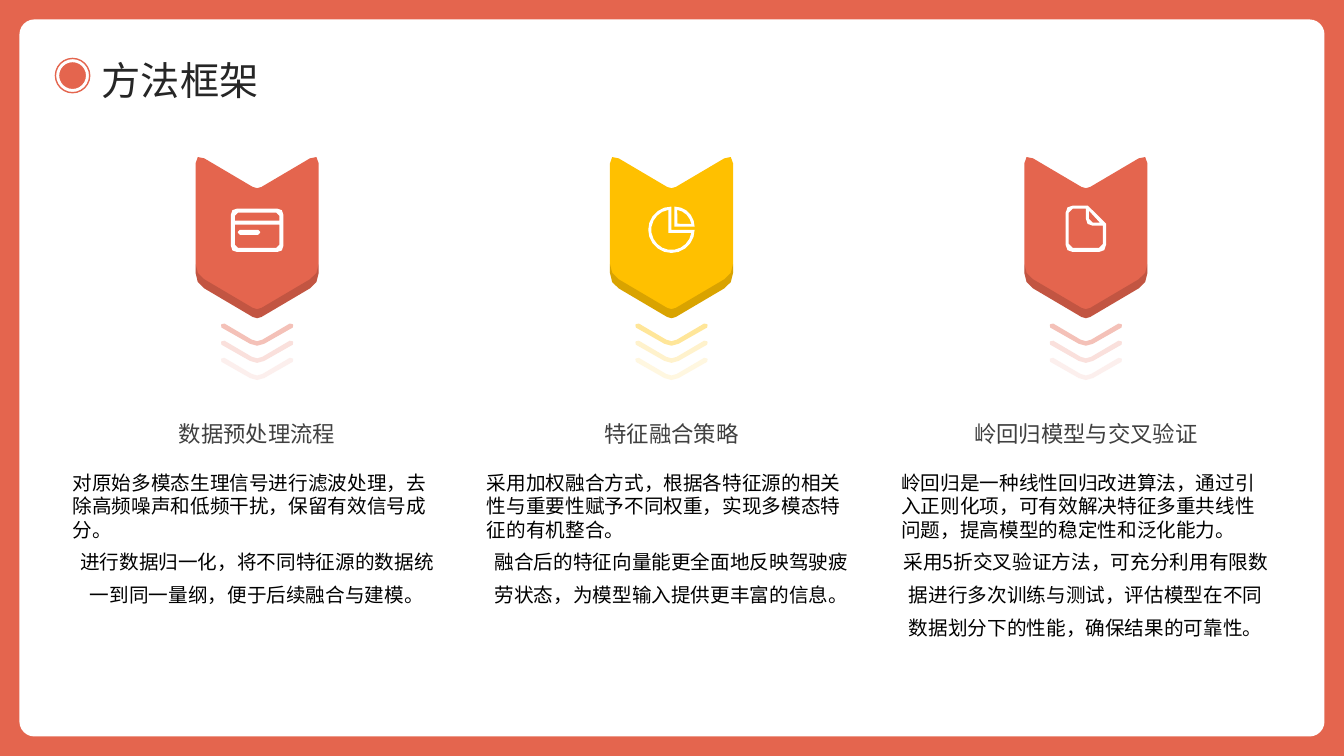
from math import cos, hypot, radians, sin

from lxml import etree
from pptx import Presentation
from pptx.dml.color import RGBColor
from pptx.enum.shapes import MSO_SHAPE
from pptx.enum.text import MSO_ANCHOR, PP_ALIGN
from pptx.oxml.ns import qn
from pptx.util import Inches, Pt

LEFT, CENTER = PP_ALIGN.LEFT, PP_ALIGN.CENTER
TOP, MIDDLE = MSO_ANCHOR.TOP, MSO_ANCHOR.MIDDLE
RECT, ROUNDED, OVAL = MSO_SHAPE.RECTANGLE, MSO_SHAPE.ROUNDED_RECTANGLE, MSO_SHAPE.OVAL

THEME = {
    "font": "Noto Sans CJK SC",
    "coral": "E4654E", "gold": "FFC000", "white": "FFFFFF", "shade": "000000",
    "title": "262626", "heading": "404040", "body": "000000",
    "coral_fade": [("F4C1B8", 100), ("FAE0DC", 100), ("FAE0DC", 50)],
    "gold_fade": [("FFE699", 100), ("FFF2CC", 100), ("FFF2CC", 60)],
    "title_pt": 28, "heading_pt": 16, "body_pt": 14,
}

# Grid: three equal columns
WIDTH, HEIGHT, MARGIN = 13.33, 7.5, 0.2
COL_LEFT, COL_WIDTH, COL_STEP = 0.72, 3.66, 4.11
HEADING_TOP, BODY_TOP = 3.87, 4.67
CHEVRON_STEP = 0.17
ARC_STEP = 18

prs = Presentation()
prs.slide_width, prs.slide_height = Inches(WIDTH), Inches(HEIGHT)
s = prs.slides.add_slide(prs.slide_layouts[6])


def add_outline(contours, dx, dy, color, opacity=100):
    """Fill closed contours of (x, y, rounding) corners, moved by dx, dy."""
    fb = None
    for corners in contours:
        pts = []
        for i, (x, y, cut) in enumerate(corners):
            ends = []
            for nx, ny, _ in (corners[i - 1], corners[(i + 1) % len(corners)]):
                share = cut / hypot(nx - x, ny - y)
                ends.append((x + (nx - x) * share, y + (ny - y) * share))
            (ax, ay), (bx, by) = ends
            for t in (0, 0.5, 1) if cut >= 0.05 else (0, 1) if cut else (0,):
                u = 1 - t
                pts.append((1000 * (dx + u * u * ax + 2 * u * t * x + t * t * bx),
                            1000 * (dy + u * u * ay + 2 * u * t * y + t * t * by)))
        if fb is None:
            fb = s.shapes.build_freeform(*pts[0], scale=914.4)
        else:
            fb.move_to(*pts[0])
        fb.add_line_segments(pts[1:], close=True)
    sp = fb.convert_to_shape()
    sp.shadow.inherit = False
    sp.fill.solid()
    sp.fill.fore_color.rgb = RGBColor.from_string(color)
    sp.line.fill.background()
    if opacity < 100:
        clr = sp.element.spPr.find(qn("a:solidFill")).find(qn("a:srgbClr"))
        etree.SubElement(clr, qn("a:alpha"), val=str(opacity * 1000))


def add_text(box, anchor, role, paragraphs):
    """Add a text box of (text, alignment, line spacing) paragraphs."""
    tf = s.shapes.add_textbox(*map(Inches, box)).text_frame
    tf.word_wrap = True
    tf.vertical_anchor = anchor
    tf.margin_left = tf.margin_top = tf.margin_right = tf.margin_bottom = 0
    for i, (text, align, spacing) in enumerate(paragraphs):
        p = tf.add_paragraph() if i else tf.paragraphs[0]
        p.alignment, p.line_spacing = align, spacing
        r = p.add_run()
        r.text = text
        r.font.size = Pt(THEME[role + "_pt"])
        r.font.color.rgb = RGBColor.from_string(THEME[role])
        r.font.name = THEME["font"]
        etree.SubElement(r.font._element, qn("a:ea"), typeface=THEME["font"])


# Frame, white panel and title bullet
for kind, box, fill, line in [
    (RECT, (0, 0, WIDTH, HEIGHT), "coral", None),
    (ROUNDED, (MARGIN, MARGIN, WIDTH - 2 * MARGIN, HEIGHT - 2 * MARGIN), "white", "white"),
    (OVAL, (0.55, 0.58, 0.34, 0.34), "white", "coral"),
    (OVAL, (0.58, 0.61, 0.28, 0.28), "coral", "white"),
]:
    sp = s.shapes.add_shape(kind, *map(Inches, box))
    sp.shadow.inherit = False
    sp.fill.solid()
    sp.fill.fore_color.rgb = RGBColor.from_string(THEME[fill])
    if line:
        sp.line.color.rgb = RGBColor.from_string(THEME[line])
        sp.line.width = Pt(1)
    else:
        sp.line.fill.background()
    if kind == ROUNDED:
        sp.adjustments[0] = 0.02

add_text((1.01, 0.51, 11.88, 0.51), MIDDLE, "title", [("方法框架", LEFT, 1.1)])

# Outlines, measured from the column's centre line
ribbon = [[(-0.61, 1.52, 0.1), (0, 1.88, 0.05), (0.61, 1.52, 0.1),
           (0.61, 2.81, 0.1), (0, 3.17, 0.05), (-0.61, 2.81, 0.1)]]
ribbon_edge = [[(-0.61, 2.62, 0), (-0.61, 2.72, 0.1), (0, 3.08, 0.05), (0.61, 2.72, 0.1),
                (0.61, 2.62, 0), (0.61, 2.81, 0.1), (0, 3.17, 0.05), (-0.61, 2.81, 0.1)]]
chevron = [[(-0.34, 3.2, 0.02), (0, 3.4, 0.06), (0.34, 3.2, 0.02),
            (0.37, 3.24, 0.02), (0, 3.45, 0.08), (-0.37, 3.24, 0.02)]]

# Card icon: left, top, right, bottom, upper and lower rounding
card = [
    [(x1, y1, up), (x2, y1, up), (x2, y2, low), (x1, y2, low)]
    for x1, y1, x2, y2, up, low in [
        (-0.26, 2.07, 0.26, 2.5, 0.06, 0.06),
        (-0.22, 2.11, 0.22, 2.19, 0.03, 0),
        (-0.22, 2.23, 0.22, 2.46, 0, 0.03),
        (-0.19, 2.28, 0.03, 2.33, 0.02, 0.02),
    ]
]
# Pie icon: corner, then centre, radius and angles of the arc
pie = [
    [(vx, vy, 0)] + [
        (cx + radius * cos(radians(angle)), cy + radius * sin(radians(angle)), 0)
        for angle in range(start, end + 1, ARC_STEP)
    ]
    for vx, vy, cx, cy, radius, start, end in [
        (0, 2.28, 0, 2.28, 0.23, 0, 270),
        (-0.03, 2.31, 0, 2.28, 0.2, 9, 261),
        (0.03, 2.25, 0.03, 2.25, 0.2, -90, 0),
        (0.06, 2.22, 0.03, 2.25, 0.17, -81, -9),
    ]
]
# Page icon: sheet, inside and folded corner
page = [
    [(-0.2, 2.04, 0.07), (0.02, 2.04, 0), (0.2, 2.22, 0), (0.2, 2.5, 0.07), (-0.2, 2.5, 0.07)],
    [(-0.17, 2.07, 0.04), (0, 2.07, 0), (0, 2.24, 0.07), (0.17, 2.24, 0),
     (0.17, 2.46, 0.04), (-0.17, 2.46, 0.04)],
    [(0.03, 2.09, 0), (0.14, 2.21, 0), (0.03, 2.21, 0.04)],
]

# Columns
columns = [
    ("coral", card, "数据预处理流程",
     "对原始多模态生理信号进行滤波处理，去除高频噪声和低频干扰，保留有效信号成分。",
     "进行数据归一化，将不同特征源的数据统一到同一量纲，便于后续融合与建模。"),
    ("gold", pie, "特征融合策略",
     "采用加权融合方式，根据各特征源的相关性与重要性赋予不同权重，实现多模态特征的有机整合。",
     "融合后的特征向量能更全面地反映驾驶疲劳状态，为模型输入提供更丰富的信息。"),
    ("coral", page, "岭回归模型与交叉验证",
     "岭回归是一种线性回归改进算法，通过引入正则化项，可有效解决特征多重共线性问题，提高模型的稳定性和泛化能力。",
     "采用5折交叉验证方法，可充分利用有限数据进行多次训练与测试，评估模型在不同数据划分下的性能，确保结果的可靠性。"),
]
for i, (color, icon, heading, first, second) in enumerate(columns):
    left = COL_LEFT + i * COL_STEP
    middle = left + COL_WIDTH / 2
    add_outline(ribbon, middle, 0, THEME[color])
    add_outline(ribbon_edge, middle, 0, THEME["shade"], 15)
    add_outline(icon, middle, 0, THEME["white"])
    for row, (tint, opacity) in enumerate(THEME[color + "_fade"]):
        add_outline(chevron, middle, row * CHEVRON_STEP, tint, opacity)
    add_text((left, HEADING_TOP, COL_WIDTH, BODY_TOP - HEADING_TOP), MIDDLE, "heading",
             [(heading, CENTER, 1.2)])
    add_text((left, BODY_TOP, COL_WIDTH, 1.77), TOP, "body",
             [(first, LEFT, Pt(16.8)), (second, CENTER, Pt(23.3))])

prs.save("out.pptx")
